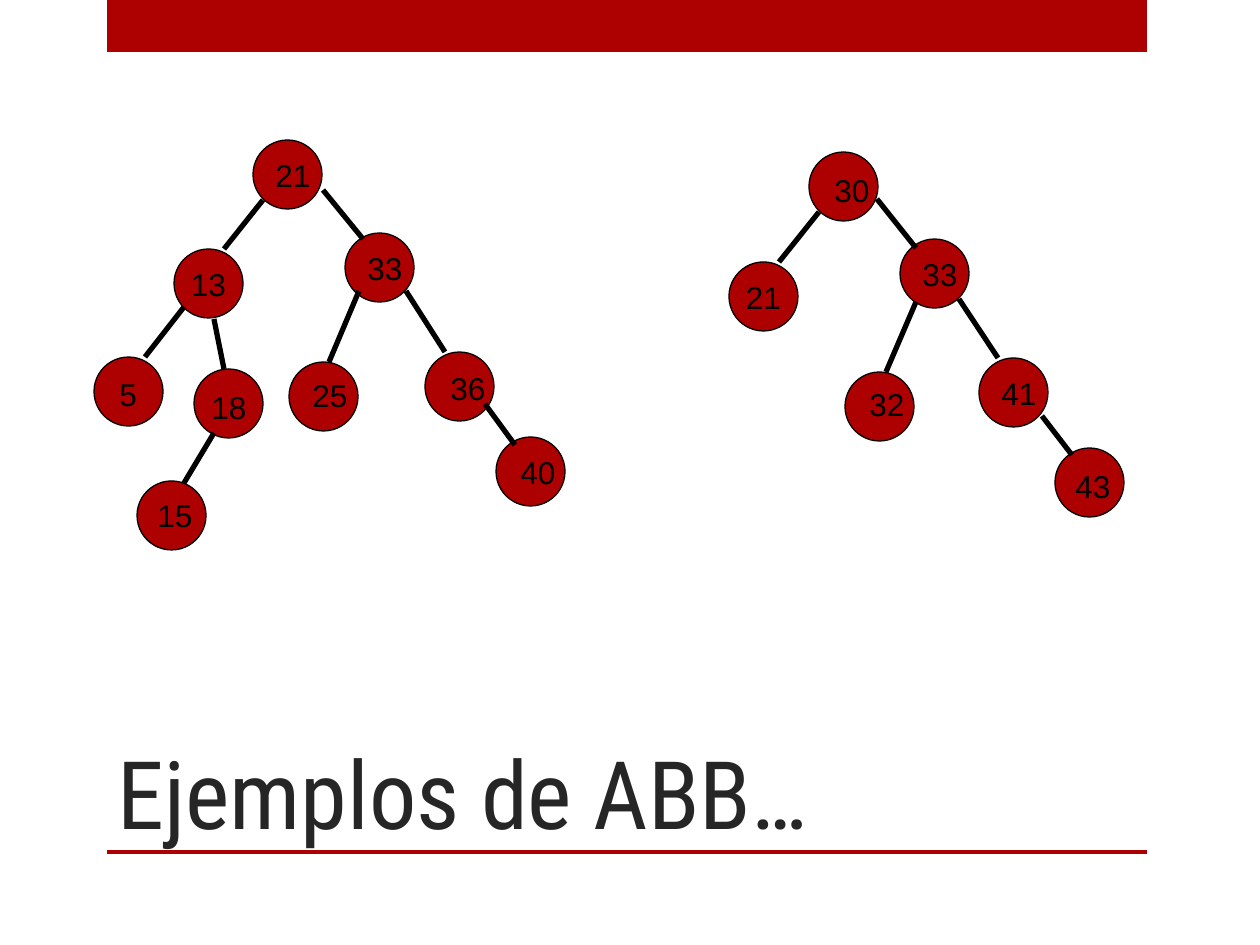
from lxml import etree
from pptx import Presentation, util as u
from pptx.dml.color import RGBColor
from pptx.enum import shapes as s, text as t
from pptx.oxml.ns import qn

SCALE = 914400 // 126
RED, BLACK, CHARCOAL = "AD0101", "000000", "262626"
NODE_SIZE = 69
LABEL_HEIGHT = 50

# Node: number, left, top, then label left, top, width when the label stands apart.
FIRST_NODES = [
    ("21", 253, 140, (263, 150, 69)),
    ("13", 174, 249, None),
    ("33", 345, 233, (355, 243, 89)),
    ("5", 94, 357, (107, 369, 39)),
    ("18", 194, 369, (199, 382, 79)),
    ("15", 137, 481, (145, 490, 89)),
    ("25", 289, 362, (300, 370, 79)),
    ("36", 425, 352, (438, 363, 69)),
    ("40", 496, 437, (508, 447, 100)),
]
FIRST_EDGES = [
    (263, 200, 224, 249), (184, 307, 145, 357), (323, 190, 363, 239),
    (406, 291, 445, 352), (214, 319, 224, 369), (359, 291, 329, 362),
    (214, 433, 184, 483), (485, 404, 515, 445),
]
SECOND_NODES = [
    ("30", 809, 152, (822, 165, 69)),
    ("21", 729, 262, None),
    ("33", 900, 239, (910, 249, 89)),
    ("32", 845, 372, (857, 379, 79)),
    ("41", 979, 358, (989, 368, 69)),
    ("43", 1055, 448, (1063, 461, 100)),
]
SECOND_EDGES = [
    (819, 212, 779, 262), (877, 199, 916, 248), (959, 299, 998, 358),
    (916, 302, 886, 372), (1042, 416, 1072, 455),
]


def px(*lengths):
    """Turn picture pixels into EMU."""
    return [u.Emu(length * SCALE) for length in lengths]


def color(value):
    """Turn a hex string into a colour."""
    return RGBColor.from_string(value)


def write(frame, words, size=18, font="Arial", ink=BLACK, align=t.PP_ALIGN.LEFT,
          anchor=t.MSO_ANCHOR.TOP, wrap=True):
    """Put formatted words into a text frame."""
    frame.word_wrap = wrap
    frame.vertical_anchor = anchor
    paragraph = frame.paragraphs[0]
    paragraph.alignment = align
    run = paragraph.add_run()
    run.text = words
    run.font.size = u.Pt(size)
    run.font.name = font
    run.font.color.rgb = color(ink)


def add_figure(slide, kind, box, outline=None):
    """Add a red preset shape with an optional thin outline."""
    figure = slide.shapes.add_shape(kind, *px(*box))
    figure.shadow.inherit = False
    figure.fill.solid()
    figure.fill.fore_color.rgb = color(RED)
    if outline:
        figure.line.color.rgb = color(outline)
        figure.line.width = u.Pt(0.75)
    else:
        figure.line.fill.background()
    return figure


def add_edge(slide, ends):
    """Join two nodes with a thick black line."""
    edge = slide.shapes.add_connector(s.MSO_CONNECTOR.STRAIGHT, *px(*ends))
    edge.line.color.rgb = color(BLACK)
    edge.line.width = u.Pt(3)
    etree.SubElement(edge._element.spPr, qn("a:effectLst"))


def add_tree(slide, nodes, edges):
    """Draw the nodes, edges and labels of one search tree."""
    for number, left, top, label in nodes:
        node = add_figure(slide, s.MSO_SHAPE.OVAL, (left, top, NODE_SIZE, NODE_SIZE), BLACK)
        if label is None:
            write(node.text_frame, number, align=t.PP_ALIGN.CENTER,
                  anchor=t.MSO_ANCHOR.MIDDLE, wrap=False)
    for ends in edges:
        add_edge(slide, ends)
    for number, _, _, label in nodes:
        if label:
            caption = slide.shapes.add_textbox(*px(*label, LABEL_HEIGHT))
            write(caption.text_frame, number)


def main():
    """Build the slide and save it."""
    deck = Presentation()
    deck.slide_width, deck.slide_height = u.Inches(10), u.Inches(7.5)
    slide = deck.slides.add_slide(deck.slide_layouts[6])
    for top, height in ((0, 52), (850, 4)):
        add_figure(slide, s.MSO_SHAPE.RECTANGLE, (107, top, 1040, height))
    title = slide.shapes.add_textbox(*px(105, 630, 935, 220))
    title.text_frame.margin_bottom = px(2)[0]
    write(title.text_frame, "Ejemplos de ABB…", size=54, font="Roboto Condensed",
          ink=CHARCOAL, anchor=t.MSO_ANCHOR.BOTTOM)
    add_tree(slide, FIRST_NODES, FIRST_EDGES)
    add_tree(slide, SECOND_NODES, SECOND_EDGES)
    deck.save("out.pptx")


main()
